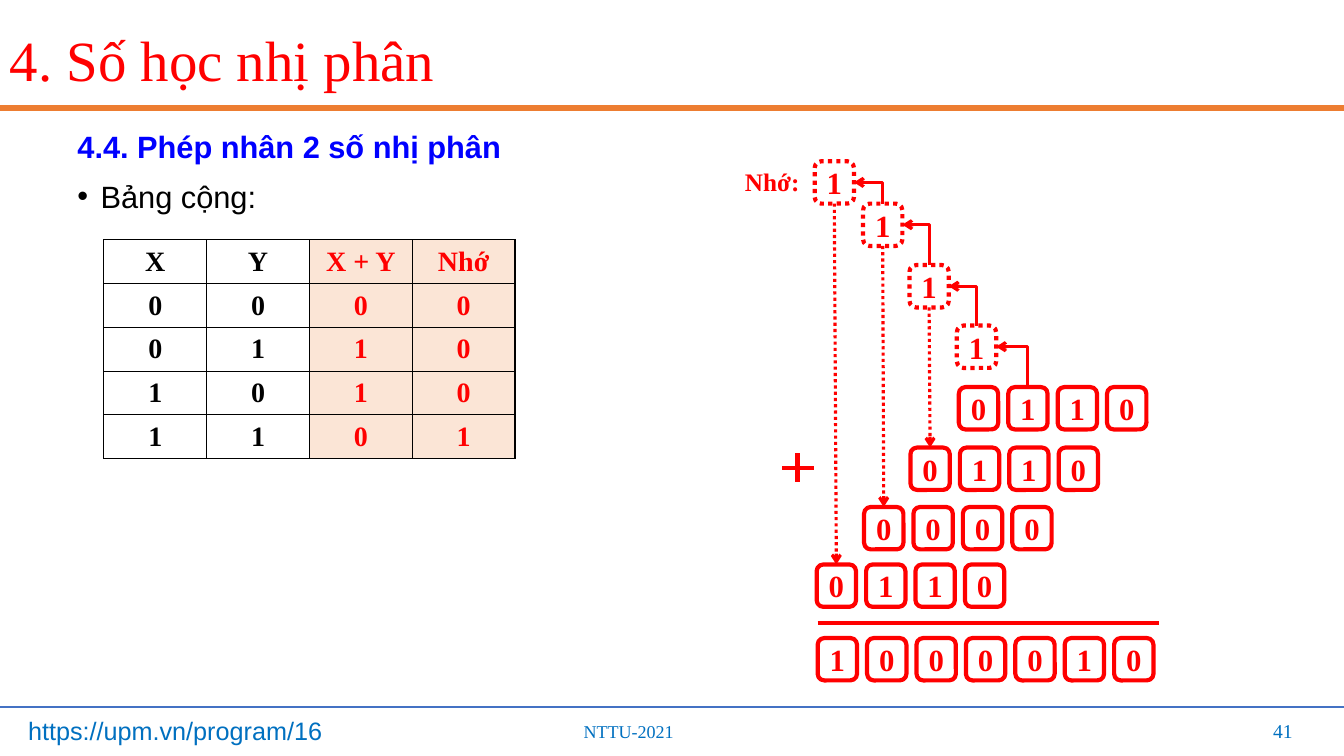
from lxml import etree
from pptx import Presentation
from pptx.dml.color import RGBColor
from pptx.enum import dml, shapes, text
from pptx.oxml import ns
from pptx.util import Inches, Pt

RED = RGBColor(0xFF, 0, 0)
BLUE = RGBColor(0, 0, 0xFF)
BLACK = RGBColor(0, 0, 0)
SKY = RGBColor(0, 0x70, 0xC0)
NAVY = RGBColor(0x44, 0x72, 0xC4)
RUST = RGBColor(0xED, 0x7D, 0x31)
PEACH = RGBColor(0xFB, 0xE5, 0xD6)
SERIF, SANS = "Times New Roman", "Arial"
LEFT, MID, RIGHT = text.PP_ALIGN.LEFT, text.PP_ALIGN.CENTER, text.PP_ALIGN.RIGHT

TITLE = "4. Số học nhị phân"
HEAD = "4.4. Phép nhân 2 số nhị phân"
ITEM = "Bảng cộng:"
TABLE = [
    ("X", "Y", "X + Y", "Nhớ"),
    ("0", "0", "0", "0"),
    ("0", "1", "1", "0"),
    ("1", "0", "1", "0"),
    ("1", "1", "0", "1"),
]
ROWS = [
    (9.51, 3.84, "0110"),
    (9.03, 4.44, "0110"),
    (8.57, 5.03, "0000"),
    (8.10, 5.60, "0110"),
    (8.11, 6.33, "1000010"),
]
CARRY = [(9.49, 3.23), (9.02, 2.63), (8.56, 2.02), (8.08, 1.60)]
RULES = [
    (0, 1.07, 13.33, 1.07, RUST, 4.5),
    (0, 7.01, 13.33, 7.01, NAVY, 1.5),
    (8.11, 6.18, 11.5, 6.18, RED, 3),
    (7.76, 4.64, 8.07, 4.64, RED, 3),
    (7.91, 4.78, 7.91, 4.49, RED, 3),
]
LABELS = [
    (0, 0.03, 13.33, 1.1, TITLE, 40.6, SERIF, RED, False, LEFT),
    (7.29, 1.6, 0.85, 0.4, "Nhớ:", 18, SERIF, RED, True, LEFT),
    (5.69, 7.09, 1.78, 0.32, "NTTU-2021", 12.9, SERIF, SKY, False, LEFT),
    (0.18, 7.05, 3.43, 0.4, "https://upm.vn/program/16", 18, SANS, SKY, False, LEFT),
    (9.92, 7.05, 3, 0.4, "41", 14, SERIF, SKY, False, RIGHT),
]
WIDE, HIGH, STEP = 0.39, 0.42, 0.49
CELL_W, CELL_H = 1.02, 0.41

deck = Presentation()
deck.slide_width, deck.slide_height = Inches(13.33), Inches(7.5)
slide = deck.slides.add_slide(deck.slide_layouts[6])


def node(up, tag, **attrs):
    return etree.SubElement(up, ns.qn("a:" + tag), attrs)


def write(para, words, size, font, color, bold=False):
    run = para.add_run()
    run.text = words
    run.font.size, run.font.name, run.font.bold = Pt(size), font, bold
    run.font.color.rgb = color


def frame(x, y, w, h):
    box = slide.shapes.add_textbox(Inches(x), Inches(y), Inches(w), Inches(h))
    box.text_frame.word_wrap = True
    return box.text_frame


def label(x, y, w, h, words, size, font, color, bold, align):
    body = frame(x, y, w, h)
    body.vertical_anchor = text.MSO_ANCHOR.MIDDLE
    body.paragraphs[0].alignment = align
    write(body.paragraphs[0], words, size, font, color, bold)


def line(x0, y0, x1, y1, color, width, kind=shapes.MSO_CONNECTOR.STRAIGHT):
    wire = slide.shapes.add_connector(kind, Inches(x0), Inches(y0), Inches(x1), Inches(y1))
    wire.line.color.rgb, wire.line.width = color, Pt(width)
    node(wire._element.spPr, "effectLst")
    return wire


def digit(x, y, words, dots=False):
    box = slide.shapes.add_shape(shapes.MSO_SHAPE.ROUNDED_RECTANGLE,
                                 Inches(x), Inches(y), Inches(WIDE), Inches(HIGH))
    box.shadow.inherit = False
    box.fill.background()
    box.line.color.rgb, box.line.width = RED, Pt(3)
    if dots:
        box.line.dash_style = dml.MSO_LINE.ROUND_DOT
    body = box.text_frame
    body.margin_left = body.margin_right = body.margin_top = body.margin_bottom = 0
    body.vertical_anchor = text.MSO_ANCHOR.MIDDLE
    body.paragraphs[0].alignment = MID
    write(body.paragraphs[0], words, 22, SERIF, RED, True)
    return box


def point(wire):
    node(wire.line._get_or_add_ln(), "tailEnd", type="arrow")


def drop(top, low):
    wire = line(0, 0, 1, 1, RED, 2.25)
    wire.begin_connect(top, 2)
    wire.end_connect(low, 0)
    wire.line.dash_style = dml.MSO_LINE.ROUND_DOT
    point(wire)


def bend(low, top):
    wire = line(0, 0, 1, 1, RED, 2.25, shapes.MSO_CONNECTOR.ELBOW)
    wire.begin_connect(low, 0)
    wire.end_connect(top, 3)
    x0, y0 = low.left + low.width // 2, low.top
    x1, y1 = top.left + top.width, top.top + top.height // 2
    w, h = y0 - y1, x0 - x1
    form = wire._element.spPr.find(ns.qn("a:xfrm"))
    form.attrib.clear()
    form.set("rot", "16200000")
    form.set("flipV", "1")
    wire.left, wire.top = (x0 + x1 - w) // 2, (y0 + y1 - h) // 2
    wire.width, wire.height = w, h
    wire._element.spPr.find(ns.qn("a:prstGeom")).set("prst", "bentConnector2")
    point(wire)


for rule in RULES:
    line(*rule)
for item in LABELS:
    label(*item)

body = frame(0.67, 1.22, 12.26, 5.7)
head = body.paragraphs[0]
head.alignment = text.PP_ALIGN.JUSTIFY
write(head, HEAD, 22, SANS, BLUE, True)
para = body.add_paragraph()
props = para._p.get_or_add_pPr()
props.set("marL", str(Inches(0.23)))
props.set("indent", str(-Inches(0.23)))
node(props, "buFont", typeface=SANS)
node(props, "buChar", char="•")
para.space_before = Pt(9.2)
write(para, ITEM, 22, SANS, BLACK)

grid = slide.shapes.add_table(len(TABLE), len(TABLE[0]), Inches(1.03), Inches(2.38),
                              Inches(CELL_W * len(TABLE[0])), Inches(CELL_H * len(TABLE))).table
grid.first_row = grid.horz_banding = False
for r, row in enumerate(TABLE):
    for c, words in enumerate(row):
        cell = grid.cell(r, c)
        cell.vertical_anchor = text.MSO_ANCHOR.MIDDLE
        for side in ("lnL", "lnR", "lnT", "lnB"):
            edge = node(cell._tc.get_or_add_tcPr(), side, w=str(Pt(1)))
            node(node(edge, "solidFill"), "srgbClr", val=str(BLACK))
        if c > 1:
            cell.fill.solid()
            cell.fill.fore_color.rgb = PEACH
        else:
            cell.fill.background()
        para = cell.text_frame.paragraphs[0]
        para.alignment = MID
        write(para, words, 20, SERIF, RED if c > 1 else BLACK, True)

sums = [[digit(x + i * STEP, y, d) for i, d in enumerate(bits)] for x, y, bits in ROWS]
ones = [digit(x, y, "1", True) for x, y in CARRY]
for low, top in zip([sums[0][1]] + ones, ones):
    bend(low, top)
for top, row in zip(ones[1:], sums[1:]):
    drop(top, row[0])

deck.save("out.pptx")
